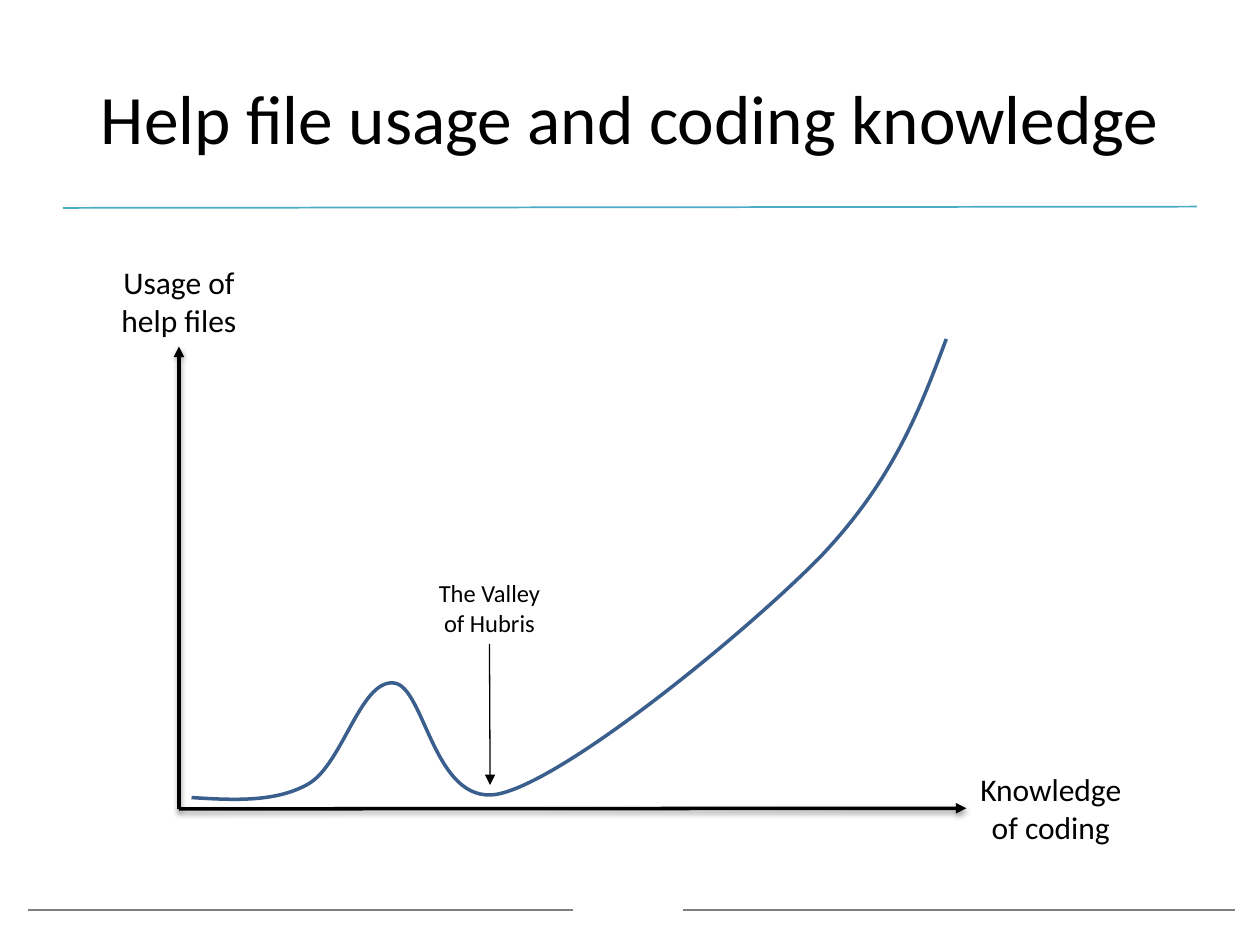
import pptx
import pptx.dml.color
import pptx.enum.shapes
import pptx.enum.text
import pptx.oxml
import pptx.oxml.ns
import pptx.util
from lxml import etree

Inches = pptx.util.Inches
Pt = pptx.util.Pt
qn = pptx.oxml.ns.qn

BLACK, GREY, TEAL, BLUE = "000000", "808080", "4BACC6", "3A5F8C"
LEFT, BOTTOM = 1, 2


def color(hex_text):
    return pptx.dml.color.RGBColor.from_string(hex_text)


class SlideBuilder:
    font = "Calibri"

    def __init__(self, deck):
        title_only = deck.slide_layouts[5]
        self.page = deck.slides.add_slide(title_only)

    def set_text(self, box, text, size, anchor):
        frame = box.text_frame
        frame.text = text
        frame.word_wrap = True
        frame.vertical_anchor = anchor
        para = frame.paragraphs[0]
        para.alignment = pptx.enum.text.PP_ALIGN.CENTER
        span_font = para.runs[0].font
        for name, value in {"name": self.font, "size": Pt(size)}.items():
            setattr(span_font, name, value)
        span_font.color.rgb = color(BLACK)

    def title(self, text, left, top, width, height, size):
        box = self.page.shapes.title
        place = {"left": left, "top": top, "width": width, "height": height}
        for name, value in place.items():
            setattr(box, name, Inches(value))
        self.set_text(box, text, size, pptx.enum.text.MSO_ANCHOR.MIDDLE)

    def label(self, text, left, top, width, height, size):
        box = self.page.shapes.add_textbox(*map(Inches, (left, top, width, height)))
        self.set_text(box, text, size, pptx.enum.text.MSO_ANCHOR.TOP)
        box.text_frame.auto_size = pptx.enum.text.MSO_AUTO_SIZE.SHAPE_TO_FIT_TEXT
        return box

    def line(self, start, end, line_color, width, arrow=False, shadow=False):
        straight = pptx.enum.shapes.MSO_CONNECTOR.STRAIGHT
        line = self.page.shapes.add_connector(straight, *map(Inches, start + end))
        line.line.color.rgb = color(line_color)
        line.line.width = Pt(width)
        properties = line._element.spPr
        if arrow:
            etree.SubElement(properties.find(qn("a:ln")), qn("a:tailEnd"), type="triangle")
        effects = etree.SubElement(properties, qn("a:effectLst"))
        if shadow:
            self.soft_shadow(effects)
        return line

    def soft_shadow(self, effects):
        outer = etree.SubElement(
            effects, qn("a:outerShdw"), blurRad=str(Pt(3.1)), dist=str(Pt(1.6)),
            dir=str(90 * 60000), rotWithShape="0")
        shade = etree.SubElement(outer, qn("a:srgbClr"), val=BLACK)
        etree.SubElement(shade, qn("a:alpha"), val="38000")

    def curve(self, start, points, height, line_color, width):
        """Draw cubic Béziers; each three points are two handles and an end."""
        builder = self.page.shapes.build_freeform(*map(Inches, start))
        builder.add_line_segments(
            [tuple(map(Inches, point)) for point in points], close=False)
        shape = builder.convert_to_shape()
        shape.shadow.inherit = False
        shape.fill.background()
        shape.line.color.rgb = color(line_color)
        shape.line.width = Pt(width)

        outline = next(shape._element.iter(qn("a:path")))
        segments = outline.findall(qn("a:lnTo"))
        for first in range(0, len(segments), 3):
            cubic = etree.SubElement(outline, qn("a:cubicBezTo"))
            for segment in segments[first:first + 3]:
                cubic.append(segment[0])
                outline.remove(segment)
        # Handles reach below the curve, so the frame is cut to the curve itself.
        shape.height = Inches(height)
        outline.set("h", str(Inches(height)))


def main():
    deck = pptx.Presentation()
    deck.slide_width, deck.slide_height = Inches(10), Inches(7.5)
    slide = SlideBuilder(deck)

    for start, end in (((4.55, 7.22), (0.22, 7.22)), ((9.8, 7.22), (5.42, 7.22))):
        slide.line(start, end, GREY, 1)
    slide.line((9.5, 1.64), (0.5, 1.65), TEAL, 1)
    slide.title("Help file usage and coding knowledge", 0.5, 0.3, 9, 1.25, 39.6)

    usage = slide.label("Usage of help files", 0.75, 2.04, 1.34, 0.71, 18)
    knowledge = slide.label("Knowledge of coding", 7.67, 6.06, 1.34, 0.71, 18)
    valley = slide.label("The Valley of Hubris", 3.36, 4.54, 1.05, 0.57, 14)

    origin = (1.42, 6.42)
    for end, box, side in (((1.42, 2.75), usage, BOTTOM), ((7.67, 6.42), knowledge, LEFT)):
        axis = slide.line(origin, end, BLACK, 2, arrow=True, shadow=True)
        axis.end_connect(box, side)

    slide.curve(
        (1.52, 6.33),
        [(1.85, 6.35), (2.19, 6.37), (2.45, 6.22),
         (2.72, 6.06), (2.86, 5.4), (3.12, 5.42),
         (3.38, 5.43), (3.44, 6.46), (4, 6.29),
         (4.56, 6.13), (5.92, 5.02), (6.51, 4.42),
         (7.09, 3.81), (7.3, 3.25), (7.51, 2.69)],
        3.65, BLUE, 2)

    pointer = slide.line((3.89, 5.11), (3.89, 6.23), BLACK, 0.75, arrow=True)
    pointer.begin_connect(valley, BOTTOM)

    deck.save("out.pptx")


if __name__ == "__main__":
    main()
